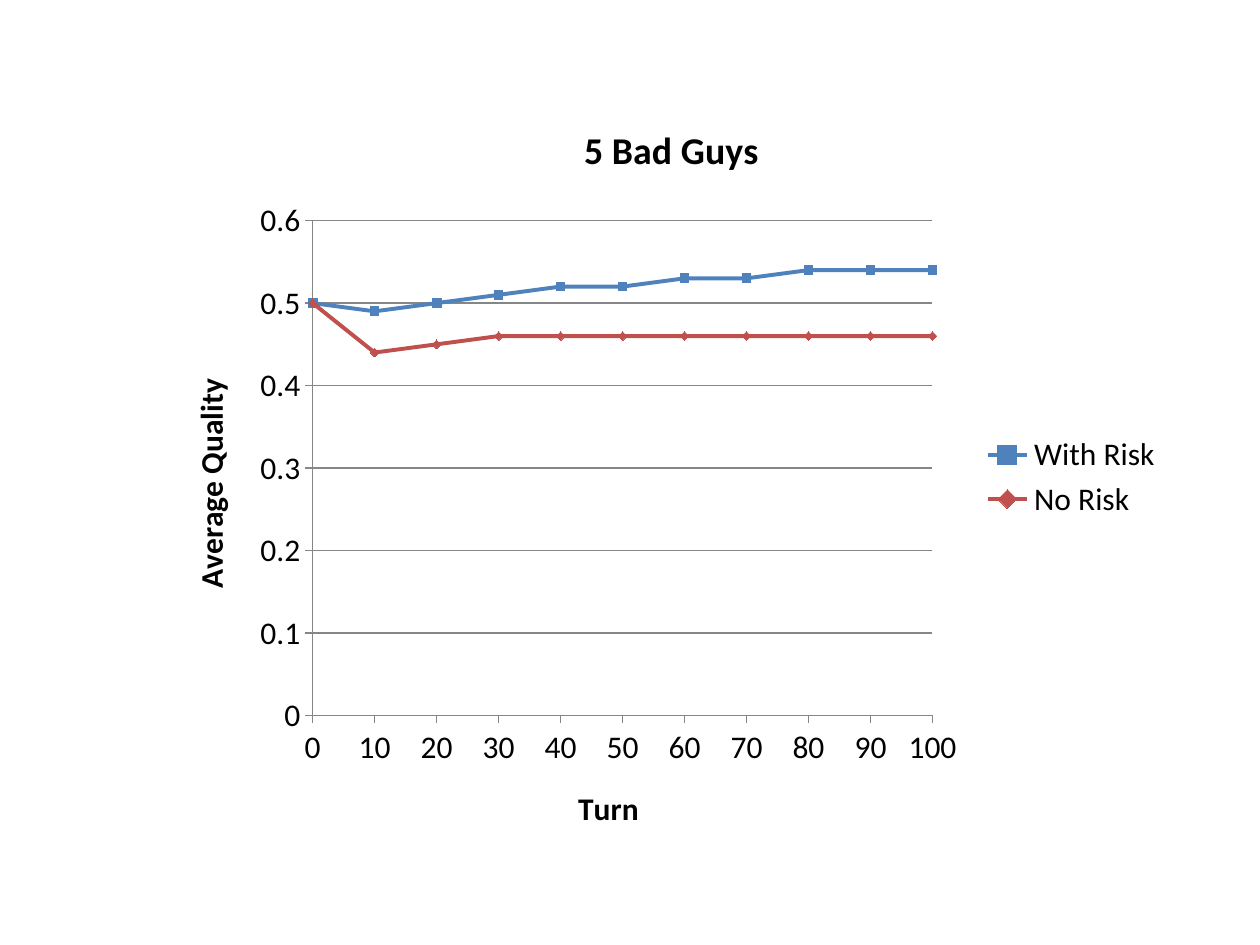
from lxml.etree import SubElement
from pptx import Presentation
from pptx.chart.data import CategoryChartData
from pptx.dml.color import RGBColor
from pptx.enum.chart import XL_CHART_TYPE as CT, XL_LEGEND_POSITION as LP
from pptx.enum.chart import XL_MARKER_STYLE as MS, XL_TICK_MARK as TM
from pptx.oxml.ns import qn
from pptx.util import Inches, Pt

BLACK = RGBColor(0x00, 0x00, 0x00)
GREY = RGBColor(0x86, 0x86, 0x86)
BLUE = RGBColor(0x4F, 0x81, 0xBD)
RED = RGBColor(0xC0, 0x50, 0x4D)
SERIES = [
    ("With Risk", BLUE, MS.SQUARE,
     [0.5, 0.49, 0.5, 0.51, 0.52, 0.52, 0.53, 0.53, 0.54, 0.54, 0.54]),
    ("No Risk", RED, MS.DIAMOND, [0.5, 0.44, 0.45] + [0.46] * 8),
]


def set_font(font, size=18, bold=False):
    """Give a font the chart's typeface and colour."""
    font.name, font.size, font.bold = "Calibri", Pt(size), bold
    font.color.rgb = BLACK


def set_title(owner, text, **fmt):
    """Title a chart or an axis with formatted text."""
    owner.has_title = True
    tf = (owner.chart_title if hasattr(owner, "chart_title")
          else owner.axis_title).text_frame
    r = tf.paragraphs[0].add_run()
    r.text = text
    set_font(r.font, **fmt)


prs = Presentation()
prs.slide_width, prs.slide_height = Inches(10), Inches(7.5)
s = prs.slides.add_slide(prs.slide_layouts[6])

data = CategoryChartData()
data.categories = [str(turn) for turn in range(0, 101, 10)]
for name, color, marker, values in SERIES:
    data.add_series(name, values)
chart = s.shapes.add_chart(CT.LINE_MARKERS, Inches(1.33), Inches(0.75),
                           Inches(8), Inches(6.07), data).chart
set_font(chart.font)
set_title(chart, "5 Bad Guys", size=21.6, bold=True)
chart.has_legend = True
chart.legend.position = LP.RIGHT
chart.legend.include_in_layout = False

# Axes
cat, val = chart.category_axis, chart.value_axis
for axis, text in ((cat, "Turn"), (val, "Average Quality")):
    set_title(axis, text, bold=True)
    axis.major_tick_mark, axis.minor_tick_mark = TM.OUTSIDE, TM.NONE
    axis.format.line.color.rgb = GREY
    axis.format.line.width = Pt(0.75)
cat.has_major_gridlines = False
val.has_major_gridlines = True
val.major_gridlines.format.line.color.rgb = GREY
val.major_gridlines.format.line.width = Pt(0.75)
val.minimum_scale, val.maximum_scale, val.major_unit = 0, 0.6, 0.1
val.tick_labels.number_format = "General"
val.tick_labels.number_format_is_linked = False

# Lines start on the value axis
plot_area = chart.plots[0]._element.getparent()
val_ax = plot_area.find(qn("c:valAx"))
between = SubElement(val_ax, qn("c:crossBetween"))
between.set("val", "midCat")
val_ax.find(qn("c:majorUnit")).addprevious(between)

# Inner plot area as shares of the chart
layout = plot_area.find(qn("c:layout"))
if layout is None:
    layout = SubElement(plot_area, qn("c:layout"))
    plot_area.insert(0, layout)
manual = SubElement(layout, qn("c:manualLayout"))
for tag, value in (("layoutTarget", "inner"), ("xMode", "edge"),
                   ("yMode", "edge"), ("x", "0.144"), ("y", "0.165"),
                   ("w", "0.615"), ("h", "0.647")):
    SubElement(manual, qn("c:" + tag)).set("val", value)

for ser, (name, color, marker, values) in zip(chart.plots[0].series, SERIES):
    ser.smooth = False
    ser.format.line.color.rgb = color
    ser.format.line.width = Pt(2.25)
    ser.marker.style, ser.marker.size = marker, 5
    ser.marker.format.fill.solid()
    ser.marker.format.fill.fore_color.rgb = color
    ser.marker.format.line.color.rgb = color
chart.plots[0].vary_by_categories = False

prs.save("out.pptx")
